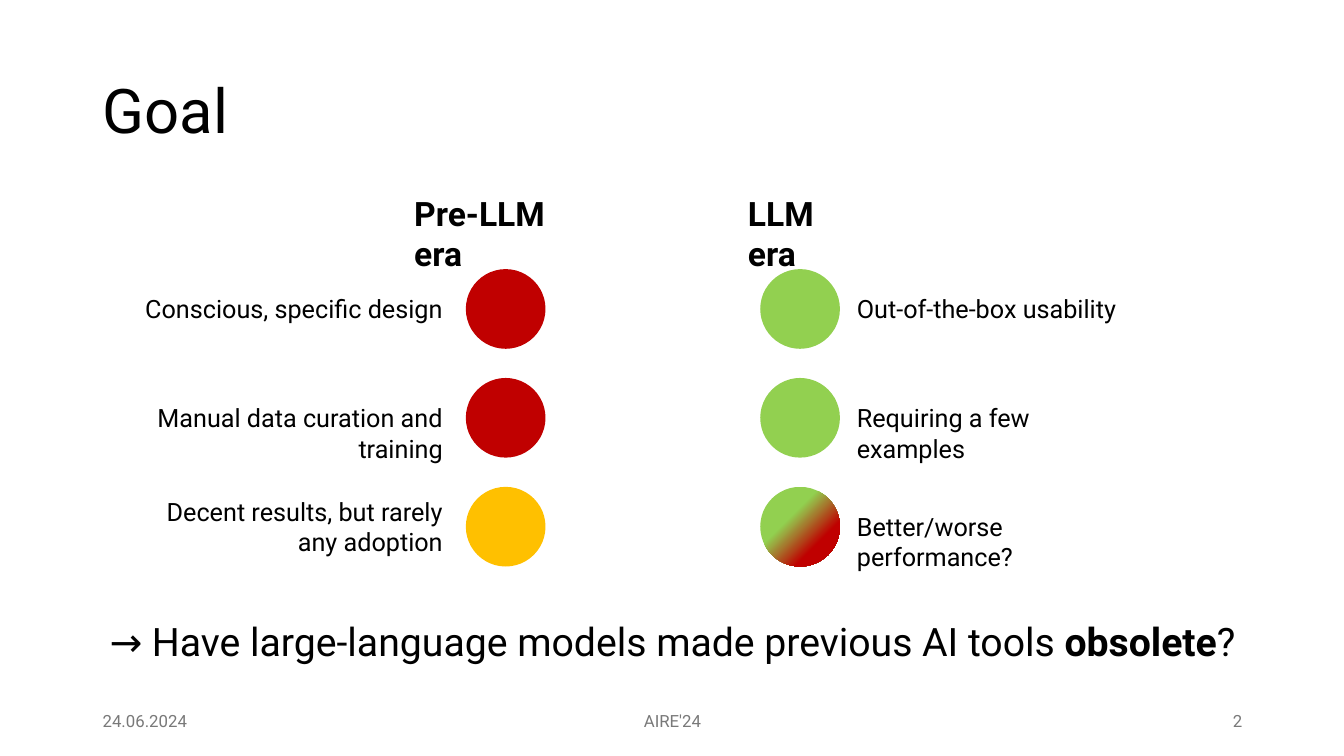
from pptx import Presentation
from pptx.dml.color import RGBColor
from pptx.enum import shapes, text
from pptx.util import Inches, Pt

BLACK = RGBColor(0x00, 0x00, 0x00)
GREY = RGBColor(0x79, 0x79, 0x79)
RED = RGBColor(0xC0, 0x00, 0x00)
AMBER = RGBColor(0xFF, 0xC0, 0x00)
GREEN = RGBColor(0x92, 0xD0, 0x50)

LEFT, RIGHT, MIDDLE = text.PP_ALIGN.LEFT, text.PP_ALIGN.RIGHT, text.PP_ALIGN.CENTER

MARGIN, CONTENT_WIDTH = 0.92, 11.5
DOT_SIZE, FIRST_DOT_TOP, ROW_PITCH = 0.79, 2.67, 1.08
PRE_DOT_LEFT, LLM_DOT_LEFT = 4.62, 7.54
PRE_LABEL_RIGHT, LLM_LABEL_LEFT = 4.49, 8.4

# fill colours, label lines, label width
PRE_LLM = [
    ([RED], ["Conscious, specific design"], 3.17),
    ([RED], ["Manual data curation and training"], 3.84),
    ([AMBER], ["Decent results, but rarely", "any adoption"], 2.98),
]
LLM = [
    ([GREEN], ["Out-of-the-box usability"], 2.79),
    ([GREEN], ["Requiring a few examples"], 2.96),
    ([GREEN, RED], ["Better/worse performance?"], 3.19),
]


class SlideBuilder:
    font_name = "Roboto"

    def __init__(self, deck):
        self.page = deck.slides.add_slide(deck.slide_layouts[5])

    def style(self, para, size, color=BLACK, align=LEFT, bold=False):
        para.alignment = align
        font = para.font
        font.name, font.size, font.bold = self.font_name, Pt(size), bold
        font.color.rgb = color

    def title(self, words, left, top, width, height):
        box = self.page.shapes.title
        box.left, box.top = Inches(left), Inches(top)
        box.width, box.height = Inches(width), Inches(height)
        frame = box.text_frame
        frame.text = words
        frame.auto_size = text.MSO_AUTO_SIZE.NONE
        frame.vertical_anchor = text.MSO_ANCHOR.MIDDLE
        para = frame.paragraphs[0]
        self.style(para, 44)
        para.line_spacing = 0.9

    def label(self, lines, left, top, width, height, size,
              anchor=text.MSO_ANCHOR.TOP, **look):
        box = self.page.shapes.add_textbox(
            Inches(left), Inches(top), Inches(width), Inches(height))
        frame = box.text_frame
        frame.word_wrap = True
        frame.vertical_anchor = anchor
        frame.text = "\n".join(lines)
        for para in frame.paragraphs:
            self.style(para, size, **look)
        return frame

    def dot(self, colors, left, top):
        """Draw a circle in one colour, or in a diagonal blend of two."""
        circle = self.page.shapes.add_shape(
            shapes.MSO_SHAPE.OVAL, Inches(left), Inches(top),
            Inches(DOT_SIZE), Inches(DOT_SIZE))
        circle.shadow.inherit = False
        circle.line.fill.background()
        if len(colors) == 1:
            circle.fill.solid()
            circle.fill.fore_color.rgb = colors[0]
            return
        circle.fill.gradient()
        circle.fill.gradient_angle = 315
        for stop, color, position in zip(
                circle.fill.gradient_stops, colors, (0.38, 0.72)):
            stop.color.rgb = color
            stop.position = position

    def era(self, rows, dot_left, align):
        """Draw a column of dots, each with a label centred beside it."""
        for index, (colors, lines, width) in enumerate(rows):
            top = FIRST_DOT_TOP + index * ROW_PITCH
            self.dot(colors, dot_left, top)
            height = 0.1 + 0.3 * len(lines)
            left = PRE_LABEL_RIGHT - width if align == RIGHT else LLM_LABEL_LEFT
            self.label(lines, left, top + (DOT_SIZE - height) / 2,
                       width, height, 18, align=align)

    def question(self, start, stress, end, top):
        frame = self.label([start], MARGIN, top, CONTENT_WIDTH, 0.62, 28,
                           align=MIDDLE)
        para = frame.paragraphs[0]
        para.line_spacing = 0.9
        span = para.add_run()
        span.text = stress
        span.font.bold = True
        para.add_run().text = end

    def footer(self, words, left, width, align):
        self.label([words], left, 6.95, width, 0.4, 12,
                   anchor=text.MSO_ANCHOR.MIDDLE, color=GREY, align=align)


def main():
    deck = Presentation()
    deck.slide_width, deck.slide_height = Inches(13.33), Inches(7.5)
    builder = SlideBuilder(deck)
    builder.title("Goal", MARGIN, 0.4, CONTENT_WIDTH, 1.45)
    builder.question("→ Have large-language models made previous AI tools ",
                     "obsolete", "?", 6.13)
    builder.label(["Pre-LLM era"], 4.01, 1.86, 2, 0.5, 24, bold=True)
    builder.label(["LLM era"], 7.32, 1.86, 1.38, 0.5, 24, bold=True)
    builder.era(PRE_LLM, PRE_DOT_LEFT, RIGHT)
    builder.era(LLM, LLM_DOT_LEFT, LEFT)
    builder.footer("24.06.2024", MARGIN, 3, LEFT)
    builder.footer("AIRE'24", 4.42, 4.5, MIDDLE)
    builder.footer("2", 9.42, 3, RIGHT)
    deck.save("out.pptx")


if __name__ == "__main__":
    main()
